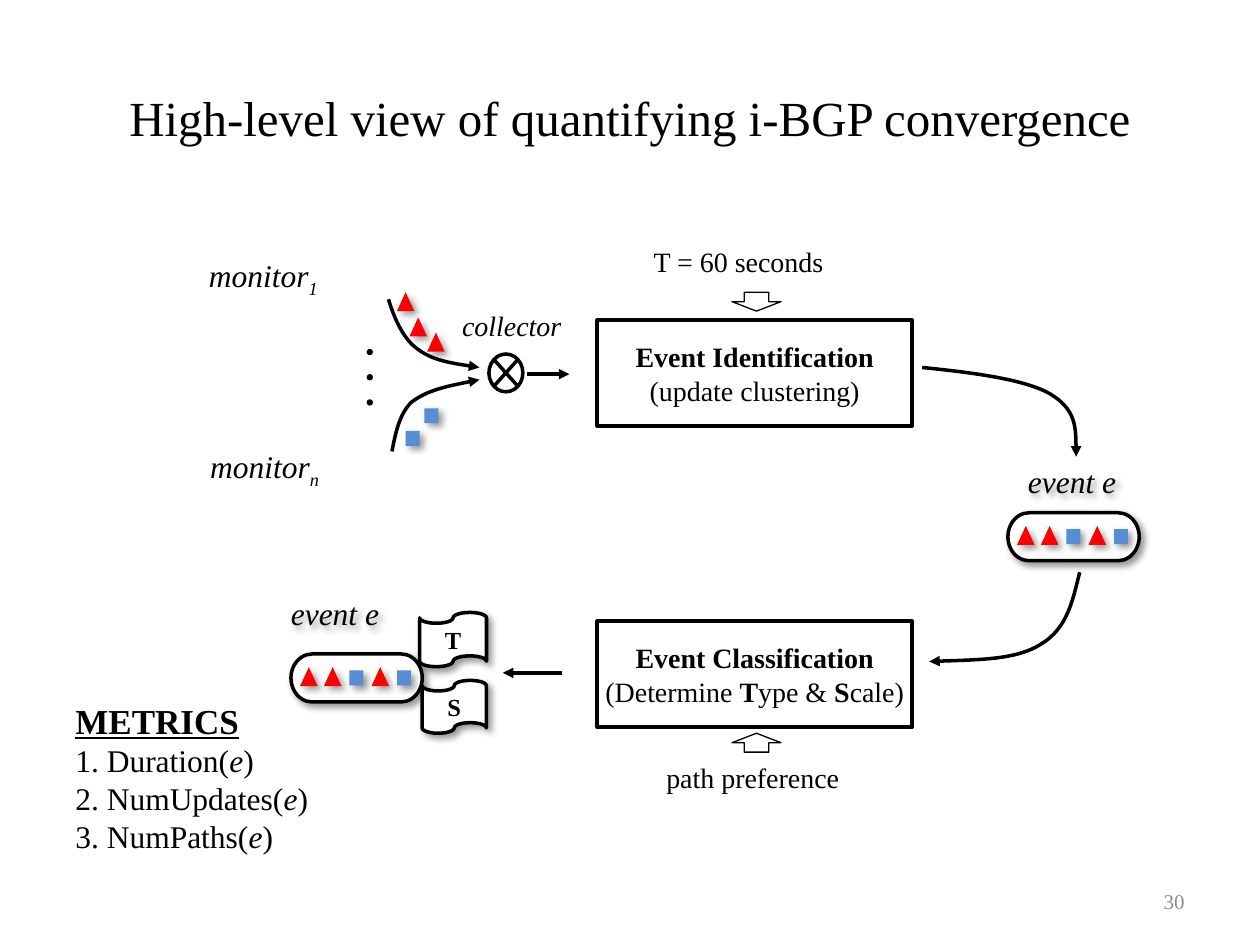
from pptx import Presentation
from pptx.dml.color import RGBColor
from pptx.enum import shapes, text
from pptx.oxml import parse_xml
from pptx.oxml import ns
from pptx.util import Pt

BLACK = RGBColor(0, 0, 0)
WHITE = RGBColor(255, 255, 255)
RED = RGBColor(255, 0, 0)
BLUE = RGBColor(0x55, 0x8E, 0xD5)
GREY = RGBColor(0x8C, 0x8C, 0x8C)
FONT = "Times New Roman"
KIND = shapes.MSO_SHAPE
ALIGN = text.PP_ALIGN
MIDDLE = text.MSO_ANCHOR.MIDDLE
SHADOW = (f'<a:effectLst {ns.nsdecls("a")}><a:outerShdw blurRad="50800" dist="38100" '
          'dir="2700000" algn="tl" rotWithShape="0"><a:srgbClr val="000000">'
          '<a:alpha val="40000"/></a:srgbClr></a:outerShdw></a:effectLst>')


def cast_shadow(shape):
    """Give a shape a soft shadow to its lower right."""
    shape.shadow.inherit = False
    props = shape._element.spPr
    props.replace(props.find(ns.qn("a:effectLst")), parse_xml(SHADOW))


def write(frame, lines, size, align=ALIGN.LEFT, color=BLACK):
    """Fill a frame with lines of (words, style) runs; styles are b, i, u and _ for subscript."""
    for index, runs in enumerate(lines):
        line = frame.add_paragraph() if index else frame.paragraphs[0]
        line.alignment = align
        line.font.name, line.font.size = FONT, Pt(size)
        line.font.color.rgb = color
        for words, style in runs:
            run = line.add_run()
            run.text = words
            run.font.bold = "b" in style
            run.font.italic = "i" in style
            if "u" in style:
                run.font.underline = True
            if "_" in style:
                run._r.get_or_add_rPr().set("baseline", "-25000")


def add_label(slide, box, lines, size):
    """Add an unwrapped text label."""
    label = slide.shapes.add_textbox(*map(Pt, box))
    label.text_frame.word_wrap = False
    write(label.text_frame, lines, size)
    return label


def add_block(slide, kind, box, fill=WHITE, weight=2.0, shadow=False):
    """Add a filled preset shape, outlined in black unless the weight is zero."""
    block = slide.shapes.add_shape(kind, *map(Pt, box))
    block.fill.solid()
    block.fill.fore_color.rgb = fill
    if weight:
        block.line.color.rgb = BLACK
        block.line.width = Pt(weight)
    else:
        block.line.fill.background()
    block.shadow.inherit = False
    if shadow:
        cast_shadow(block)
    return block


def add_update(slide, kind, left, top):
    """Add one routing update: a red triangle or a blue square."""
    if kind == "triangle":
        add_block(slide, KIND.ISOSCELES_TRIANGLE, (left, top, 10, 10.8), RED, 0, True)
    else:
        add_block(slide, KIND.RECTANGLE, (left, top, 8, 8.6), BLUE, 0, True)


def point_arrow(line):
    """Style a line in black with an arrowhead at its end."""
    line.line.color.rgb = BLACK
    line.line.width = Pt(2)
    outline = line.line._get_or_add_ln()
    outline.append(parse_xml(f'<a:tailEnd {ns.nsdecls("a")} type="triangle"/>'))
    line._element.spPr.append(parse_xml(f'<a:effectLst {ns.nsdecls("a")}/>'))


def add_arrow(slide, start, end, y):
    """Add a straight horizontal arrow."""
    point_arrow(slide.shapes.add_connector(
        shapes.MSO_CONNECTOR.STRAIGHT, Pt(start), Pt(y), Pt(end), Pt(y)))


def add_curve(slide, points, left=0, top=0):
    """Add a curved arrow through Bezier points, offset by left and top."""
    start, *rest = [(left + x, top + y) for x, y in points]
    builder = slide.shapes.build_freeform(*start, scale=12700)
    builder.add_line_segments(rest, close=False)
    curve = builder.convert_to_shape()
    curve.fill.background()
    outline = curve._element.spPr.find(".//" + ns.qn("a:path"))
    segments = outline.findall(ns.qn("a:lnTo"))
    for first in range(0, len(segments), 3):
        bend = parse_xml(f'<a:cubicBezTo {ns.nsdecls("a")}/>')
        outline.append(bend)
        for segment in segments[first:first + 3]:
            bend.append(segment[0])
            outline.remove(segment)
    point_arrow(curve)


def add_monitors(slide, left, top):
    """Place the monitors, their updates and the collector they feed."""
    for x, y, suffix in ((2.3, 2.6, "1"), (3, 112, "n")):
        add_label(slide, (left + x, top + y, 78.5, 28.8),
                  [[("monitor", "i"), (suffix, "i_")]], 18)
    for step in range(3):
        add_block(slide, KIND.FLOWCHART_CONNECTOR,
                  (left + 99.5, top + 59.4 + 14.4 * step, 3.6, 3.6), BLACK, 0)
    add_label(slide, (left + 147, top + 32.8, 72, 26.6), [[("collector", "i")]], 16)
    add_block(slide, KIND.FLOWCHART_SUMMING_JUNCTION, (left + 169.4, top + 62.3, 19.4, 21.6))
    add_curve(slide, [(111.8, 30.6), (115.4, 41.4), (119.7, 53), (128.3, 59.4),
                      (137, 65.9), (150.6, 68.1), (164.3, 69.5)], left, top)
    add_curve(slide, [(113.9, 118.5), (116.1, 107.7), (117.5, 96.9), (125.4, 90.4),
                      (134.1, 83.2), (149.2, 79.6), (164.3, 76.7)], left, top)
    for x, y in ((116.8, 27), (124, 41.4), (134.1, 50.1)):
        add_update(slide, "triangle", left + x, top + y)
    for x, y in ((121.8, 106.2), (132.6, 93.3)):
        add_update(slide, "square", left + x, top + y)
    add_arrow(slide, left + 191, left + 215.4, top + 73.8)


def add_stage(slide, box, lines, parameter, parameter_box, above):
    """Place a processing stage with its input parameter above or below."""
    left, top, width, height = box
    stage = add_block(slide, KIND.RECTANGLE, box)
    frame = stage.text_frame
    frame.margin_left = frame.margin_right = frame.margin_top = frame.margin_bottom = 0
    frame.vertical_anchor = MIDDLE
    write(frame, lines, 16, ALIGN.CENTER)
    arrow_top = top - 16 if above else top + height + 3.5
    arrow = add_block(slide, KIND.DOWN_ARROW, (left + 77, arrow_top, 28, 10.8), weight=0.75)
    arrow.rotation = 0 if above else 180
    x, y, label_width = parameter_box
    add_label(slide, (left + x, top + y, label_width, 26.6), [[(parameter, "")]], 16)


def add_event(slide, left, top, label_x, label_y):
    """Place an event capsule holding its clustered updates, with its label."""
    add_block(slide, KIND.FLOWCHART_TERMINATOR, (left, top, 75, 27.4), shadow=True)
    updates = ("triangle", "triangle", "square", "triangle", "square")
    for slot, kind in enumerate(updates):
        center = left + 10.2 + 13.6 * slot
        half = 5 if kind == "triangle" else 4
        add_update(slide, kind, center - half, top + (7.5 if half == 5 else 9.4))
    label = add_label(slide, (left + label_x, top + label_y, 65.5, 28.8),
                      [[("event e", "i")]], 18)
    cast_shadow(label)


def add_tag(slide, box, letter):
    """Place a flag carrying one class letter."""
    tag = add_block(slide, KIND.FLOWCHART_PUNCHED_TAPE, box, shadow=True)
    tag.text_frame.vertical_anchor = MIDDLE
    write(tag.text_frame, [[(letter, "b")]], 14, ALIGN.CENTER)


def add_metrics(slide, box):
    """Place the list of event metrics."""
    lines = [[(f"{number}. {name}(", ""), ("e", "i"), (")", "")]
             for number, name in enumerate(("Duration", "NumUpdates", "NumPaths"), 1)]
    metrics = add_label(slide, box, [[("METRICS", "bu")]] + lines, 18)
    metrics.text_frame.paragraphs[0].font.size = Pt(20)


def add_title(slide, box, words):
    """Place the slide title."""
    title = slide.shapes.title
    title.left, title.top, title.width, title.height = map(Pt, box)
    title.text_frame.vertical_anchor = MIDDLE
    write(title.text_frame, [[(words, "")]], 28, ALIGN.CENTER)


def add_page_number(slide, box, number):
    """Place the page number."""
    page = slide.shapes.add_textbox(*map(Pt, box))
    page.text_frame.word_wrap = True
    page.text_frame.vertical_anchor = MIDDLE
    write(page.text_frame, [[(number, "")]], 12, ALIGN.RIGHT, GREY)


def main():
    """Build the slide and save it."""
    deck = Presentation()
    deck.slide_width, deck.slide_height = Pt(720), Pt(540)
    slide = deck.slides.add_slide(deck.slide_layouts[5])
    add_title(slide, (0, 21.6, 720, 90), "High-level view of quantifying i-BGP convergence")
    add_monitors(slide, 110, 140)
    add_stage(slide, (341.3, 183, 180, 60.5),
              [[("Event Identification", "b")], [("(update clustering)", "")]],
              "T = 60 seconds", (25.2, -46.9, 113), True)
    add_curve(slide, [(527, 209.5), (556.6, 213.1), (586.1, 216.7), (600.5, 225.4),
                      (614.9, 234), (614.9, 247.7), (614.9, 260.6)])
    add_event(slide, 576, 293, 4.3, -32.4)
    add_curve(slide, [(617, 326.9), (613.4, 342.7), (609.8, 359.3), (595.4, 367.9),
                      (581, 376.6), (556.6, 377.3), (531.4, 378)])
    add_stage(slide, (341.3, 355, 180, 60.5),
              [[("Event Classification", "b")],
               [("(Determine ", ""), ("T", "b"), ("ype & ", ""), ("S", "b"), ("cale)", "")]],
              "path preference", (32.4, 76.3, 115.2), False)
    add_arrow(slide, 321.1, 287.3, 384.5)
    add_event(slide, 166.3, 373.7, -7.2, -37.5)
    add_tag(slide, (239.8, 350, 38.2, 31), "T")
    add_tag(slide, (241.2, 388.8, 36.7, 30.2), "S")
    add_metrics(slide, (36, 396, 149, 97.2))
    add_page_number(slide, (516, 500.5, 168, 28.8), "30")
    deck.save("out.pptx")


if __name__ == "__main__":
    main()
